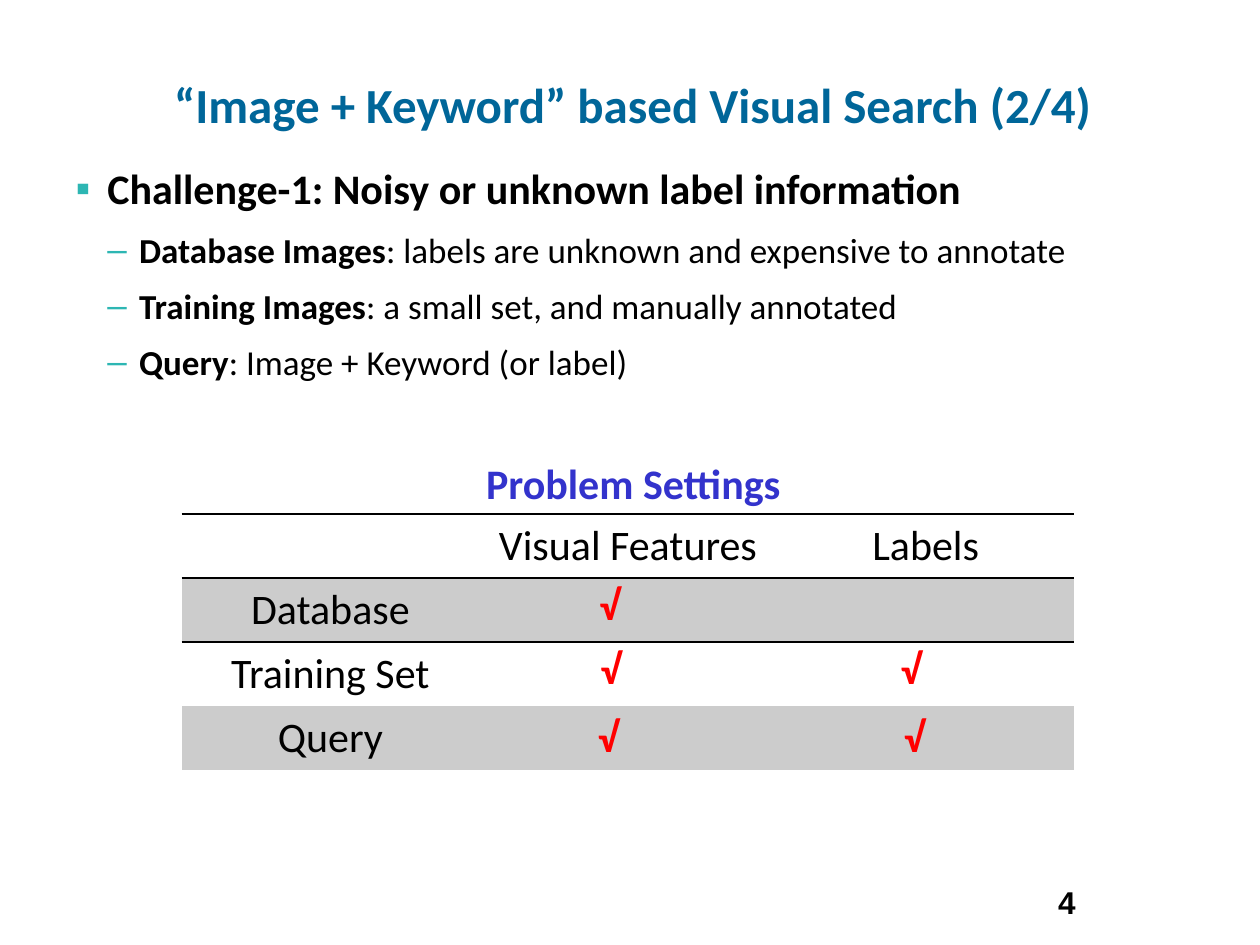
from lxml import etree
from pptx import Presentation
from pptx import util as u
from pptx.dml.color import RGBColor
from pptx.enum import text
from pptx.oxml.ns import qn

BLACK, RED, BLUE, TITLE, TEAL, GREY = "000000", "FF0000", "3333CC", "006699", "2DB6B3", "CCCCCC"
NO_GRID = "{2D5ABB26-0587-4C30-8999-92F81FD0307C}"


def rgb(value):
    return RGBColor.from_string(value)


class Deck:
    font = "Calibri"

    def __init__(self):
        self.prs = Presentation()
        self.prs.slide_width, self.prs.slide_height = u.Cm(25.4), u.Cm(19.05)
        self.s = self.prs.slides.add_slide(self.prs.slide_layouts[1])

    def run(self, p, words, size, color=BLACK, bold=False, font=None):
        r = p.add_run()
        r.text = words
        r.font.name = font or self.font
        r.font.size = u.Pt(size)
        r.font.bold = bold
        r.font.color.rgb = rgb(color)

    def place(self, sp, box, anchor):
        sp.left, sp.top, sp.width, sp.height = map(u.Cm, box)
        tf = sp.text_frame
        tf.auto_size = text.MSO_AUTO_SIZE.NONE
        tf.vertical_anchor = anchor
        return tf

    def title(self, words, box):
        tf = self.place(self.s.shapes.title, box, text.MSO_ANCHOR.MIDDLE)
        p = tf.paragraphs[0]
        p.alignment = text.PP_ALIGN.CENTER
        p.line_spacing = 0.9
        self.run(p, words, 28, TITLE, True)

    def bullet(self, p, char, indent):
        pPr = p._p.get_or_add_pPr()
        pPr.set("marL", str(u.Cm(indent)))
        pPr.set("indent", str(-u.Cm(0.64)))
        clr = etree.SubElement(pPr, qn("a:buClr"))
        etree.SubElement(clr, qn("a:srgbClr"), val=TEAL)
        etree.SubElement(pPr, qn("a:buChar"), char=char)

    def body(self, items, box):
        tf = self.place(self.s.placeholders[1], box, text.MSO_ANCHOR.TOP)
        for i, (level, runs) in enumerate(items):
            p = tf.add_paragraph() if i else tf.paragraphs[0]
            size = 20 if level else 24
            p.level = level
            self.bullet(p, "–" if level else "▪", 0.64 * (level + 1))
            p.space_before = u.Pt(5 if i else 0)
            p.space_after = u.Pt(0.15 * size)
            for words, bold in runs:
                self.run(p, words, size, bold=bold)

    def label(self, words, box, size=24, color=BLACK, font=None, align=None, wrap=True):
        sp = self.s.shapes.add_textbox(*map(u.Cm, box))
        tf = sp.text_frame
        tf.word_wrap = wrap
        p = tf.paragraphs[0]
        p.alignment = align
        self.run(p, words, size, color, True, font)

    def rule(self, cell, side):
        ln = etree.SubElement(cell._tc.get_or_add_tcPr(), qn("a:" + side), w=str(u.Pt(1)))
        fill = etree.SubElement(ln, qn("a:solidFill"))
        etree.SubElement(fill, qn("a:srgbClr"), val=BLACK)

    def table(self, rows, left, top, width, row_height):
        frame = self.s.shapes.add_table(
            len(rows), len(rows[0]), u.Cm(left), u.Cm(top), u.Cm(width), u.Cm(row_height * len(rows)))
        tbl = frame.table
        tbl.first_row = tbl.horz_banding = False
        tbl._tbl.tblPr.find(qn("a:tableStyleId")).text = NO_GRID
        for i, row in enumerate(rows):
            for j, words in enumerate(row):
                cell = tbl.cell(i, j)
                if i < 2:
                    self.rule(cell, "lnT")
                if i == 0:
                    self.rule(cell, "lnB")
                if i % 2:
                    cell.fill.solid()
                    cell.fill.fore_color.rgb = rgb(GREY)
                else:
                    cell.fill.background()
                if words:
                    p = cell.text_frame.paragraphs[0]
                    p.alignment = text.PP_ALIGN.CENTER
                    self.run(p, words, 24)


def main():
    d = Deck()
    d.title("“Image + Keyword” based Visual Search (2/4)", (0.43, 1.5, 24.64, 1.35))
    d.body([
        (0, [("Challenge-1: Noisy or unknown label information", True)]),
        (1, [("Database Images", True), (": labels are unknown and expensive to annotate", False)]),
        (1, [("Training Images", True), (": a small set, and manually annotated", False)]),
        (1, [("Query", True), (": Image + Keyword (or label)", False)]),
    ], (1.27, 3.15, 23.6, 6.6))
    d.label("4", (21.08, 17.68, 1.4, 0.84), size=18, font="Arial")
    d.table([
        ("", "Visual Features", "Labels"),
        ("Database", "", ""),
        ("Training Set", "", ""),
        ("Query", "", ""),
    ], 3.66, 10.36, 18, 1.29)
    for left, top in [(11.61, 11.53), (17.68, 12.83), (11.63, 12.83), (11.58, 14.2), (17.75, 14.2)]:
        d.label("√", (left, top, 1.37, 1.27), color=RED, align=text.PP_ALIGN.CENTER)
    d.label("Problem Settings", (9.55, 9.09, 6.53, 1.27), color=BLUE, wrap=False)
    d.prs.save("out.pptx")


if __name__ == "__main__":
    main()
